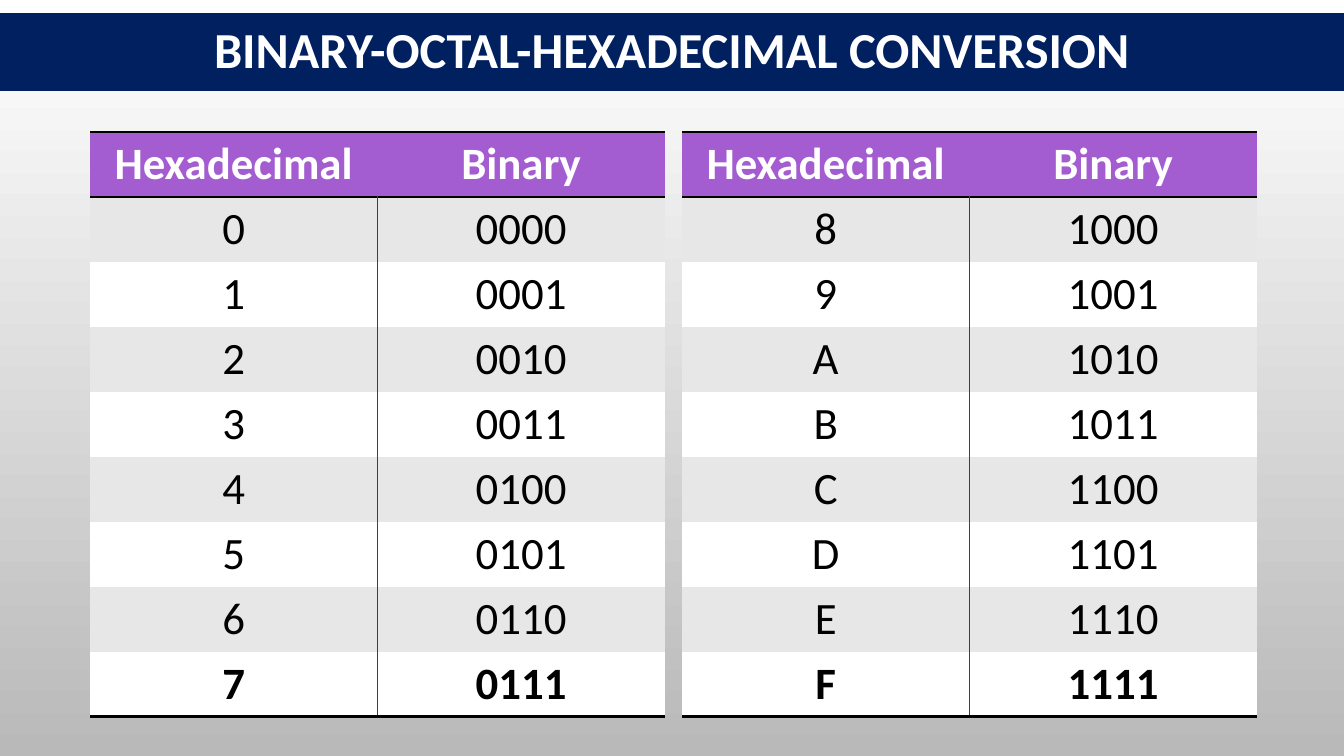
import dataclasses

import lxml.etree
import pptx
import pptx.dml.color
import pptx.enum.text
import pptx.oxml.ns
import pptx.util

EMU_PER_PX = 914400 / 100.8
NO_TABLE_STYLE = "{2D5ABB26-0587-4C30-8999-92F81FD0307C}"
HEADINGS = ("Hexadecimal", "Binary")
DIGITS_PER_TABLE = 8


@dataclasses.dataclass(frozen=True)
class Theme:
    font: str = "Calibri"
    title_size: int = 36
    table_size: int = 32
    banner: str = "002060"
    header: str = "A35DD1"
    band: str = "E7E7E7"
    white: str = "FFFFFF"
    black: str = "000000"
    divider: str = "404040"
    backdrop: tuple = ("FFFFFF", "B9B9B9")


THEME = Theme()


def px(length):
    return pptx.util.Emu(round(length * EMU_PER_PX))


def rgb(colour):
    return pptx.dml.color.RGBColor.from_string(colour)


def set_attributes(target, values):
    for name, value in values.items():
        setattr(target, name, value)


def fill_solid(target, colour):
    target.fill.solid()
    target.fill.fore_color.rgb = rgb(colour)


def write_centred(frame, text, size, colour, bold):
    paragraph = frame.paragraphs[0]
    paragraph.alignment = pptx.enum.text.PP_ALIGN.CENTER
    run = paragraph.add_run()
    run.text = text
    set_attributes(run.font, {
        "name": THEME.font, "size": pptx.util.Pt(size), "bold": bold})
    run.font.color.rgb = rgb(colour)
    return paragraph


def add_borders(cell, borders):
    """Borders are (side, colour, points), in the order L, R, T, B."""
    properties = cell._tc.get_or_add_tcPr()
    for position, (side, colour, points) in enumerate(borders):
        line = lxml.etree.Element(
            pptx.oxml.ns.qn(f"a:ln{side}"), w=str(pptx.util.Pt(points)))
        solid = lxml.etree.SubElement(line, pptx.oxml.ns.qn("a:solidFill"))
        lxml.etree.SubElement(solid, pptx.oxml.ns.qn("a:srgbClr"), val=colour)
        properties.insert(position, line)


def paint_backdrop(slide):
    fill = slide.background.fill
    fill.gradient()
    fill.gradient_angle = 270
    for stop, colour in zip(fill.gradient_stops, THEME.backdrop):
        stop.color.rgb = rgb(colour)


def add_banner(slide, text):
    banner = slide.shapes.title
    set_attributes(banner, {
        "left": px(0), "top": px(13), "width": px(1344), "height": px(78)})
    fill_solid(banner, THEME.banner)
    set_attributes(banner.text_frame, {
        "word_wrap": True,
        "auto_size": pptx.enum.text.MSO_AUTO_SIZE.NONE,
        "vertical_anchor": pptx.enum.text.MSO_ANCHOR.MIDDLE})
    heading = write_centred(
        banner.text_frame, text, THEME.title_size, THEME.white, True)
    heading.line_spacing = 0.9


def format_cell(cell, text, row, column, last_row):
    is_header = row == 0
    if is_header:
        background, colour = THEME.header, THEME.white
    else:
        background = THEME.band if row % 2 else THEME.white
        colour = THEME.black

    # Rules frame the header and close the table; a divider splits the body
    borders = []
    if column == 1 and not is_header:
        borders.append(("L", THEME.divider, 1))
    if is_header:
        borders.append(("T", THEME.black, 2))
    if row in (0, last_row):
        borders.append(("B", THEME.black, 2))

    fill_solid(cell, background)
    add_borders(cell, borders)
    cell.vertical_anchor = pptx.enum.text.MSO_ANCHOR.MIDDLE
    write_centred(cell.text_frame, text, THEME.table_size, colour,
                  row in (0, last_row))


def add_conversion_table(slide, left, first_digit):
    digits = range(first_digit, first_digit + DIGITS_PER_TABLE)
    rows = [HEADINGS] + [(f"{digit:X}", f"{digit:04b}") for digit in digits]
    frame = slide.shapes.add_table(
        len(rows), len(HEADINGS), px(left), px(132), px(575),
        px(65 * len(rows)))
    conversions = frame.table
    set_attributes(conversions, {"first_row": True, "horz_banding": False})
    style = conversions._tbl.tblPr.find(pptx.oxml.ns.qn("a:tableStyleId"))
    style.text = NO_TABLE_STYLE
    for row, texts in enumerate(rows):
        for column, text in enumerate(texts):
            format_cell(conversions.cell(row, column), text, row, column,
                        len(rows) - 1)


def main():
    presentation = pptx.Presentation()
    set_attributes(presentation, {
        "slide_width": px(1344), "slide_height": px(756)})
    slide = presentation.slides.add_slide(presentation.slide_layouts[5])

    # Backdrop and title banner
    paint_backdrop(slide)
    add_banner(slide, "BINARY-OCTAL-HEXADECIMAL CONVERSION")

    # Digits 0 to 7 on the left, 8 to F on the right
    for index, left in enumerate((90, 682)):
        add_conversion_table(slide, left, index * DIGITS_PER_TABLE)

    presentation.save("out.pptx")


if __name__ == "__main__":
    main()
